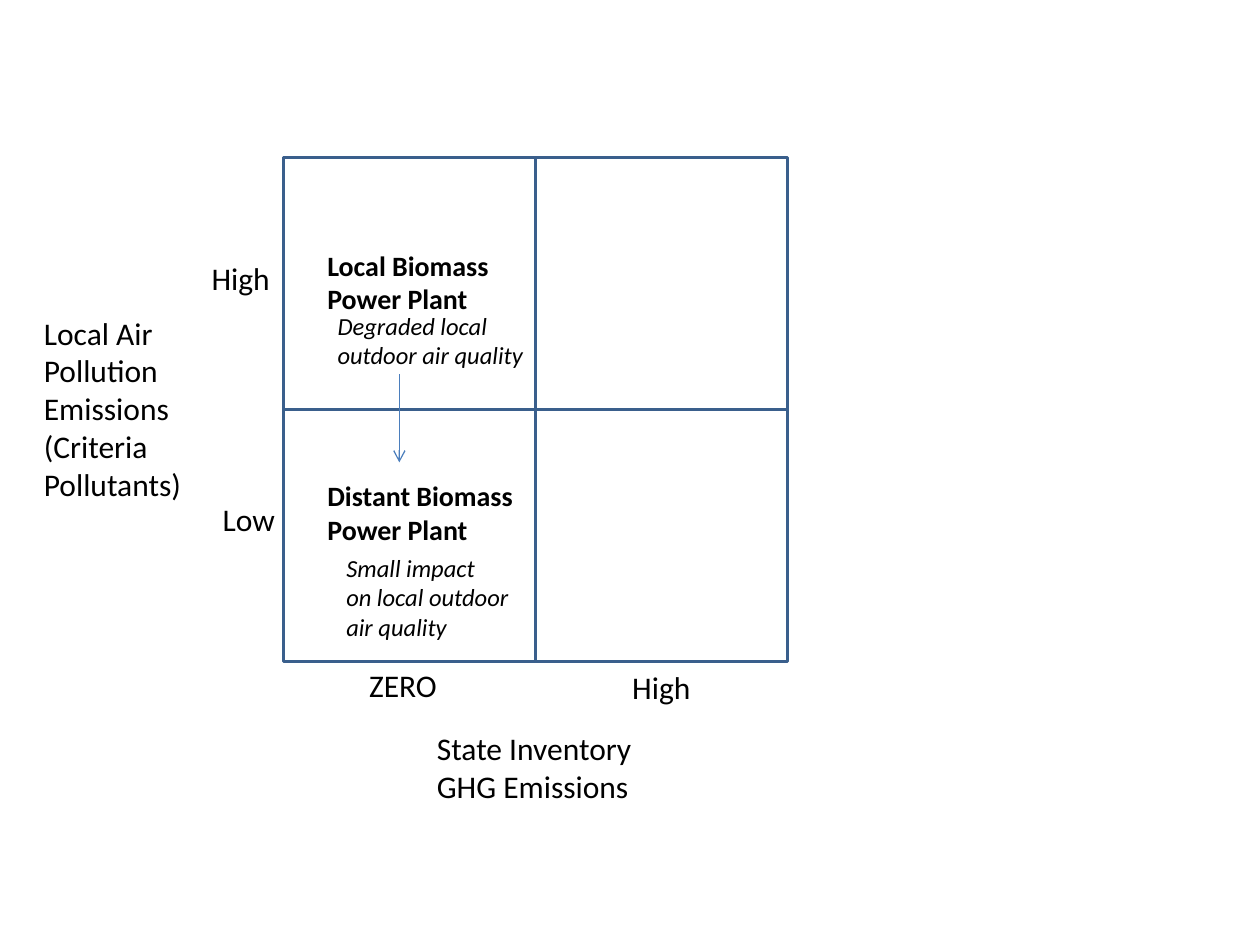
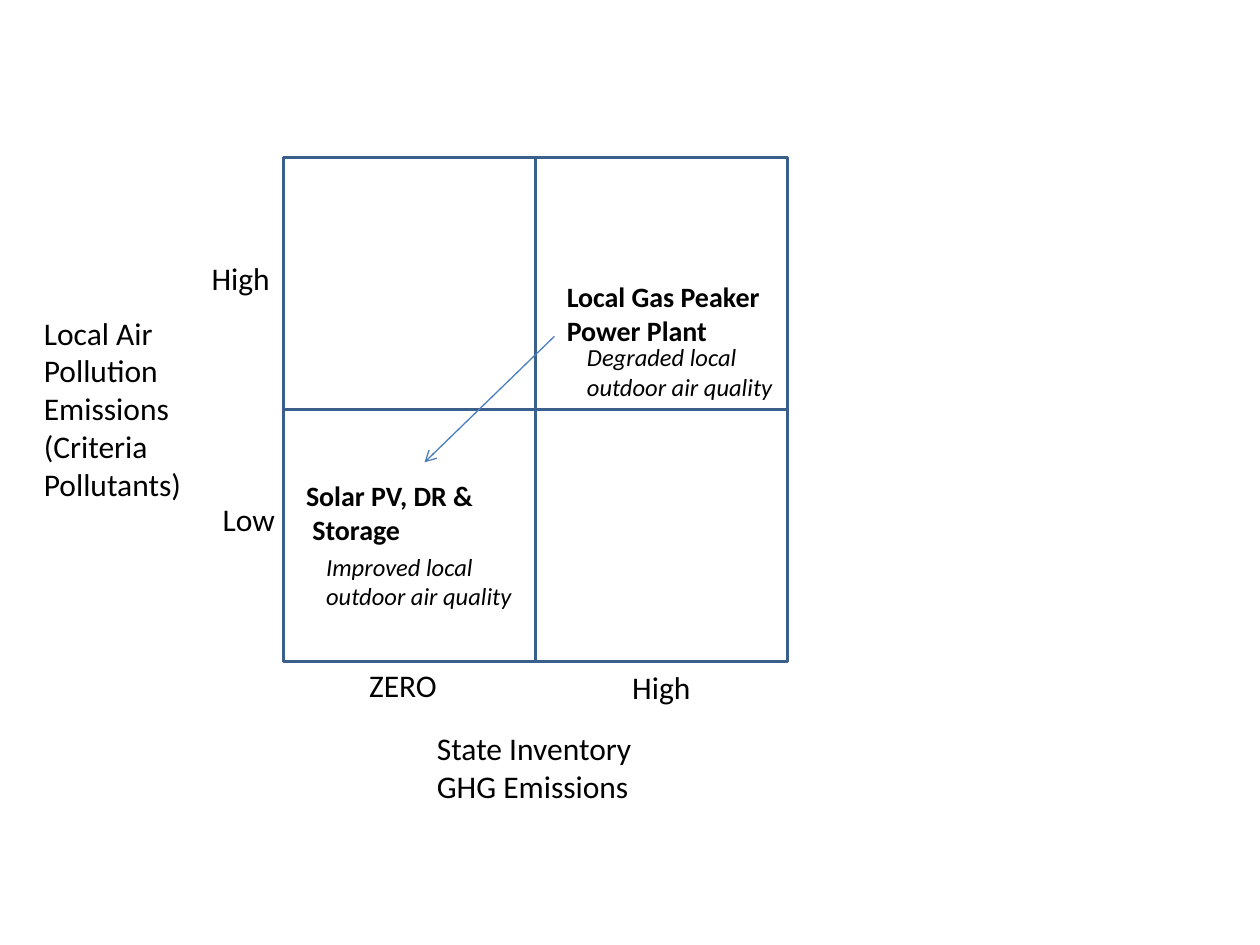
from lxml import etree
from pptx import Presentation
from pptx import util as u
from pptx.dml.color import RGBColor
from pptx.enum import shapes, text
from pptx.oxml import ns

Pt = u.Pt
COLORS = {"ink": "000000", "grid": "3A5F8C", "arrow": "4B7EBC"}
FONT = "Calibri"
LEFT, TOP, CELL = 162, 90, 144
HEAD = {"size": 16, "bold": True, "wrap": False}
NOTE = {"size": 14, "italic": True, "wrap": False}


def color(name):
    return RGBColor.from_string(COLORS[name])


def write(frame, lines, size=18, bold=False, italic=False, wrap=True):
    """Fill a text frame with one paragraph per line."""
    frame.word_wrap = wrap
    frame.auto_size = text.MSO_AUTO_SIZE.SHAPE_TO_FIT_TEXT
    for i, line in enumerate(lines):
        para = frame.paragraphs[0] if i == 0 else frame.add_paragraph()
        run = para.add_run()
        run.text = line
        font = run.font
        font.name, font.size = FONT, Pt(size)
        font.bold, font.italic = bold, italic
        font.color.rgb = color("ink")


class Deck:
    def __init__(self):
        self.file = Presentation()
        self.file.slide_width, self.file.slide_height = Pt(720), Pt(540)
        self.slide = None

    def start(self):
        self.slide = self.file.slides.add_slide(self.file.slide_layouts[6])

    def label(self, x, y, w, h, *lines, **style):
        box = self.slide.shapes.add_textbox(Pt(x), Pt(y), Pt(w), Pt(h))
        write(box.text_frame, lines, **style)

    def cell(self, col, row):
        box = self.slide.shapes.add_shape(
            shapes.MSO_SHAPE.RECTANGLE, Pt(LEFT + col * CELL),
            Pt(TOP + row * CELL), Pt(CELL), Pt(CELL))
        box.shadow.inherit = False
        box.fill.background()
        box.line.color.rgb = color("grid")
        box.line.width = Pt(2)

    def arrow(self, x1, y1, x2, y2):
        link = self.slide.shapes.add_connector(
            shapes.MSO_CONNECTOR.STRAIGHT, Pt(x1), Pt(y1), Pt(x2), Pt(y2))
        link.line.color.rgb = color("arrow")
        link.line.width = Pt(0.75)
        props = link.line._get_or_add_ln()
        etree.SubElement(props, ns.qn("a:tailEnd"), type="arrow")
        etree.SubElement(link._element.spPr, ns.qn("a:effectLst"))

    def matrix(self):
        """Start a slide with the two-by-two grid and its axis labels."""
        self.start()
        for col in range(2):
            for row in range(2):
                self.cell(col, row)
        self.label(18, 175.7, 93.6, 116.6, "Local Air", "Pollution",
                   "Emissions", "(Criteria", "Pollutants)", wrap=False)
        self.label(113.8, 144.7, 48.2, 28.8, "High")
        self.label(120.2, 282.2, 48.2, 28.8, "Low")
        self.label(203.8, 377.3, 59.8, 28.8, "ZERO")
        self.label(354.2, 378, 66.2, 28.8, "High")
        self.label(242.6, 413.3, 201.6, 72.7,
                   "State Inventory", "GHG Emissions")


def biomass(deck):
    deck.matrix()
    deck.label(180, 138.2, 108, 46, "Local Biomass", "Power Plant", **HEAD)
    deck.label(185.8, 174.2, 121.7, 41,
               "Degraded local", "outdoor air quality", **NOTE)
    deck.label(180, 270, 121.7, 46, "Distant Biomass", "Power Plant", **HEAD)
    deck.label(190.8, 312.5, 110.9, 58.3,
               "Small impact", "on local outdoor", "air quality", **NOTE)
    deck.arrow(228.2, 213.8, 228.2, 264.2)


def solar(deck):
    deck.matrix()
    deck.label(316.8, 156.2, 126, 46,
               "Local Gas Peaker", "Power Plant", **HEAD)
    deck.label(328.3, 192.2, 121.7, 41,
               "Degraded local", "outdoor air quality", **NOTE)
    deck.label(167.8, 270, 111.6, 46, "Solar PV, DR &", " Storage", **HEAD)
    deck.label(179.3, 311.8, 121.7, 41,
               "Improved local", "outdoor air quality", **NOTE)
    deck.arrow(316.8, 192.2, 242.6, 264.2)


def main():
    deck = Deck()
    biomass(deck)
    solar(deck)
    deck.file.save("out.pptx")


if __name__ == "__main__":
    main()
